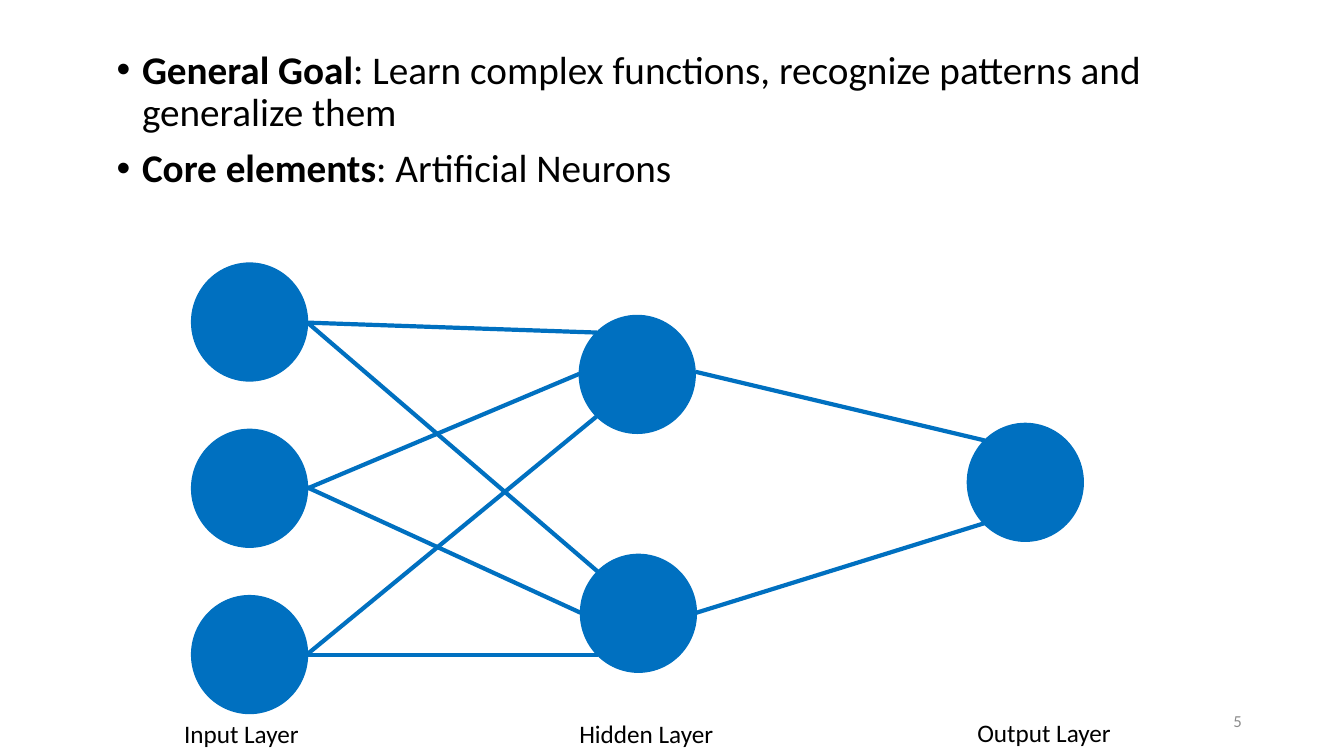
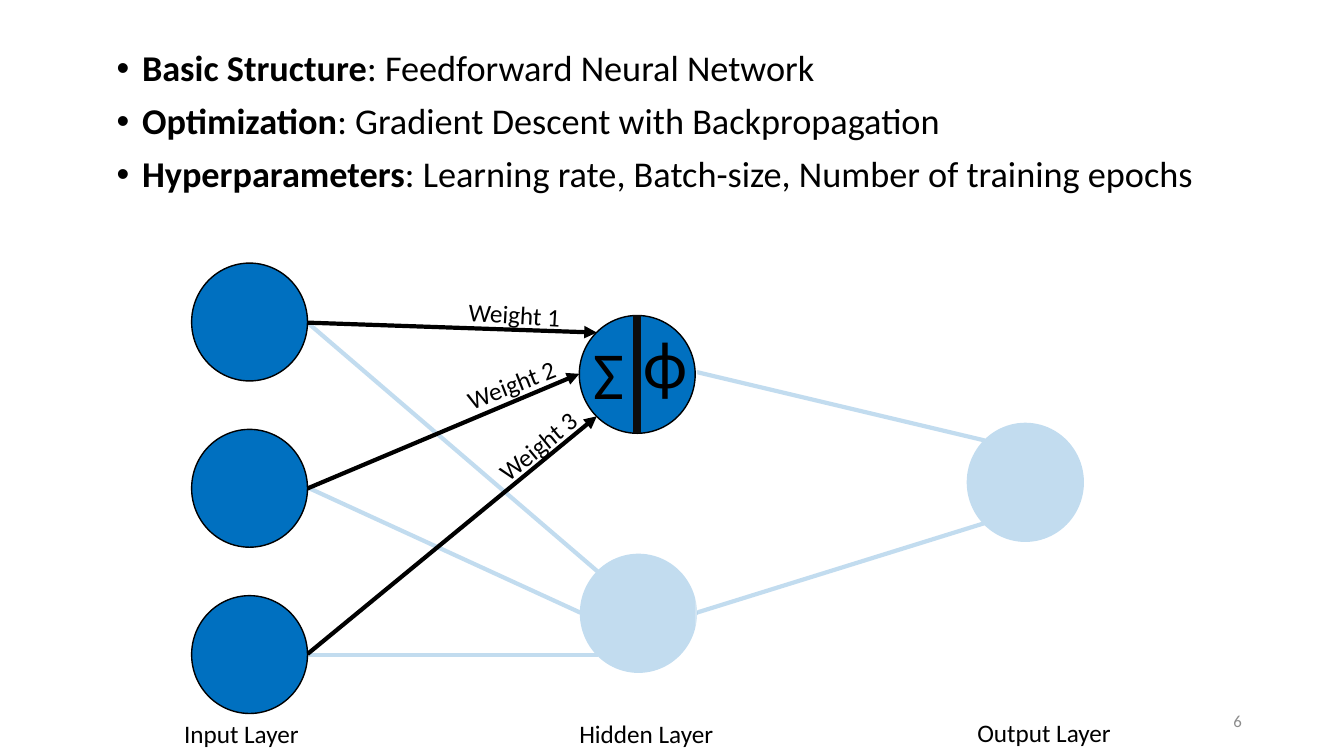
import dataclasses
import typing

import lxml.etree
import pptx
import pptx.dml.color
import pptx.enum.shapes
import pptx.enum.text
import pptx.oxml.ns
import pptx.util

Cm = pptx.util.Cm
Pt = pptx.util.Pt
qn = pptx.oxml.ns.qn
Shape = pptx.enum.shapes.MSO_SHAPE
Align = pptx.enum.text.PP_ALIGN
FONT = "Calibri"
COLORS = {
    "blue": "0070C0",
    "black": "000000",
    "dark": "0D0D0D",
    "grey": "8C8C8C",
    "white": "FFFFFF",
}


@dataclasses.dataclass(frozen=True)
class Node:
    left: float
    top: float
    width: float = 2.92
    height: float = 2.97


@dataclasses.dataclass(frozen=True)
class Edge:
    x1: float
    y1: float
    x2: float
    y2: float


@dataclasses.dataclass(frozen=True)
class Label:
    text: str
    left: float
    top: float
    width: float
    height: float = 1.02
    size: float = 18
    turn: float = 0


@dataclasses.dataclass(frozen=True)
class Point:
    head: str
    rest: str


INPUTS = [Node(4.83, 6.63 + 4.19 * row) for row in range(3)]
UPPER = Node(14.6, 7.95)
LOWER = Node(14.63, 13.97)
OUTPUT = Node(24.38, 10.67)

TO_UPPER = [
    Edge(7.75, 8.13, 15.04, 8.38),
    Edge(7.72, 12.32, 14.6, 9.42),
    Edge(7.75, 16.48, 15.04, 10.49),
]
TO_LOWER = [
    Edge(7.75, 8.13, 15.06, 14.4),
    Edge(7.72, 12.27, 14.63, 15.44),
    Edge(7.72, 16.51, 15.06, 16.51),
]
TO_OUTPUT = [
    Edge(17.53, 9.37, 24.82, 11.1),
    Edge(17.55, 15.44, 24.82, 13.18),
]
SPLIT = Edge(16.05, 7.95, 16.05, 10.92)
RIGHT_VEIL = Node(17.55, 4.5, 15.47, 13.49)
LEFT_VEIL = Node(7.72, 4.04, 9.83, 13.54)

LAYERS = [
    Label("Input Layer", 4.39, 17.98, 3.73),
    Label("Hidden Layer", 14.35, 17.98, 3.99),
    Label("Output Layer", 24.38, 17.96, 4.45),
]
WEIGHTS = [
    Label("Weight 1", 11.56, 7.44, 3.73, turn=3.4),
    Label("Weight 2", 11.46, 9.07, 3.38, turn=338.6),
    Label("Weight 3", 12.04, 10.44, 3.73, turn=320.6),
]
SYMBOLS = [
    Label("Σ", 14.71, 8.26, 0.71, 2.31, 48),
    Label("ϕ", 15.98, 7.98, 0.71, 2.31, 48),
]
GOALS = [
    Point("General Goal", ": Learn complex functions, recognize patterns and generalize them"),
    Point("Core elements", ": Artificial Neurons"),
]
BASICS = [
    Point("Basic Structure", ": Feedforward Neural Network"),
    Point("Optimization", ": Gradient Descent with Backpropagation"),
    Point("Hyperparameters", ": Learning rate, Batch-size, Number of training epochs"),
]


def tint(name: str) -> pptx.dml.color.RGBColor:
    return pptx.dml.color.RGBColor.from_string(COLORS[name])


def style(run: typing.Any, size: float, color: str = "black", bold: bool = False) -> None:
    run.font.name = FONT
    run.font.size = Pt(size)
    run.font.bold = bold
    run.font.color.rgb = tint(color)


def draw_shape(slide: typing.Any, kind: Shape, node: Node, fill: str, line: str) -> typing.Any:
    shape = slide.shapes.add_shape(
        kind, Cm(node.left), Cm(node.top), Cm(node.width), Cm(node.height))
    shape.shadow.inherit = False
    shape.fill.solid()
    shape.fill.fore_color.rgb = tint(fill)
    shape.line.color.rgb = tint(line)
    shape.line.width = Pt(1)
    return shape


def draw_nodes(slide: typing.Any, nodes: list[Node], line: str = "blue") -> None:
    for node in nodes:
        draw_shape(slide, Shape.OVAL, node, "blue", line)


def draw_veil(slide: typing.Any, node: Node) -> None:
    veil = draw_shape(slide, Shape.RECTANGLE, node, "white", "white")
    for color in veil.fill._xPr.iter(qn("a:srgbClr")):
        lxml.etree.SubElement(color, qn("a:alpha"), val="76000")


def draw_edges(slide: typing.Any, edges: list[Edge], color: str = "blue",
               width: float = 3, arrow: bool = False) -> None:
    for edge in edges:
        link = slide.shapes.add_connector(
            pptx.enum.shapes.MSO_CONNECTOR.STRAIGHT,
            Cm(edge.x1), Cm(edge.y1), Cm(edge.x2), Cm(edge.y2))
        link.line.color.rgb = tint(color)
        link.line.width = Pt(width)
        props = link._element.spPr
        if arrow:
            lxml.etree.SubElement(props.find(qn("a:ln")), qn("a:tailEnd"), type="triangle")
        lxml.etree.SubElement(props, qn("a:effectLst"))


def draw_label(slide: typing.Any, label: Label, color: str = "black") -> typing.Any:
    box = slide.shapes.add_textbox(
        Cm(label.left), Cm(label.top), Cm(label.width), Cm(label.height))
    box.rotation = label.turn
    frame = box.text_frame
    frame.word_wrap = True
    frame.text = label.text
    style(frame.paragraphs[0].runs[0], label.size, color)
    return frame


def draw_labels(slide: typing.Any, labels: list[Label]) -> None:
    for label in labels:
        draw_label(slide, label)


def draw_points(slide: typing.Any, points: list[Point], size: float) -> None:
    frame = slide.shapes.add_textbox(Cm(2.69), Cm(1.14), Cm(29.21), Cm(4.72)).text_frame
    frame.word_wrap = True
    for index, point in enumerate(points):
        para = frame.add_paragraph() if index else frame.paragraphs[0]
        para.text = point.head
        para.add_run().text = point.rest
        for run, bold in zip(para.runs, (True, False)):
            style(run, size, bold=bold)
        para.line_spacing = 0.9
        para.space_before = Pt(10)
        props = para._p.get_or_add_pPr()
        props.set("marL", str(Cm(0.64)))
        props.set("indent", str(-Cm(0.64)))
        lxml.etree.SubElement(props, qn("a:buFont"), typeface="Arial")
        lxml.etree.SubElement(props, qn("a:buChar"), char="•")


def draw_frame(slide: typing.Any, points: list[Point], size: float, number: int) -> None:
    draw_points(slide, points, size)
    draw_labels(slide, LAYERS)
    footer = draw_label(slide, Label(str(number), 23.93, 17.65, 7.62, size=12), "grey")
    footer.vertical_anchor = pptx.enum.text.MSO_ANCHOR.MIDDLE
    footer.paragraphs[0].alignment = Align.RIGHT


def draw_network(slide: typing.Any) -> None:
    draw_edges(slide, TO_UPPER + TO_LOWER + TO_OUTPUT)
    draw_nodes(slide, [*INPUTS, UPPER, LOWER, OUTPUT])
    draw_frame(slide, GOALS, 28, 5)


def draw_neuron(slide: typing.Any) -> None:
    draw_edges(slide, TO_OUTPUT)
    draw_nodes(slide, [OUTPUT])
    draw_veil(slide, RIGHT_VEIL)
    draw_nodes(slide, [LOWER])
    draw_edges(slide, TO_LOWER)
    draw_veil(slide, LEFT_VEIL)
    draw_edges(slide, TO_UPPER, "black", arrow=True)
    draw_nodes(slide, [*INPUTS, UPPER], "black")
    draw_edges(slide, [SPLIT], "dark", 6)
    draw_labels(slide, WEIGHTS + SYMBOLS)
    draw_frame(slide, BASICS, 25.9, 6)


def main() -> None:
    deck = pptx.Presentation()
    deck.slide_width = Cm(33.87)
    deck.slide_height = Cm(19.05)
    for draw in (draw_network, draw_neuron):
        draw(deck.slides.add_slide(deck.slide_layouts[6]))
    deck.save("out.pptx")


if __name__ == "__main__":
    main()
